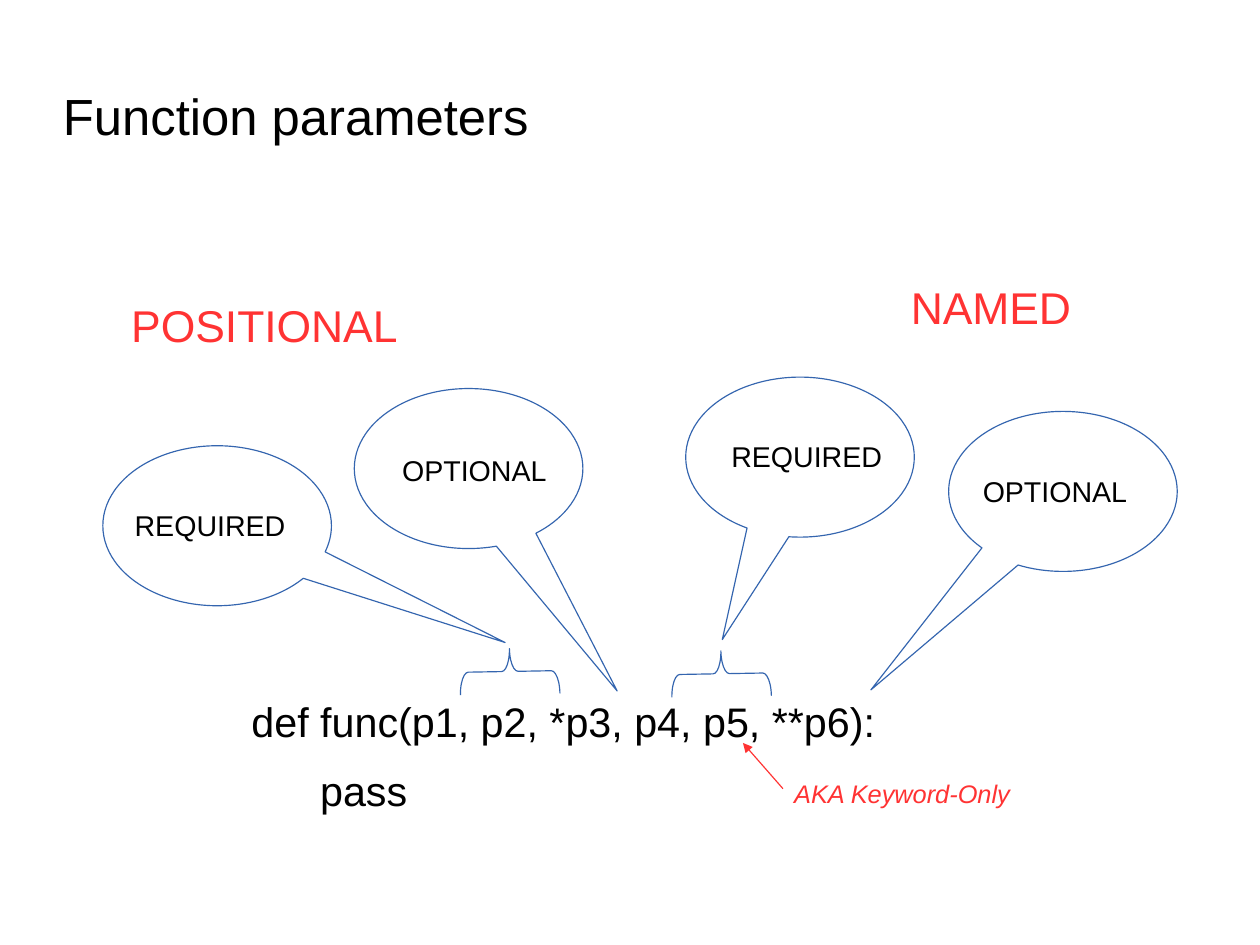
from dataclasses import dataclass

from lxml.etree import SubElement
from pptx import Presentation
from pptx.dml.color import RGBColor
from pptx.enum.shapes import MSO_CONNECTOR, MSO_SHAPE
from pptx.enum.text import MSO_ANCHOR, MSO_AUTO_SIZE, PP_ALIGN
from pptx.oxml.ns import qn
from pptx.util import Inches, Pt

COLORS = {"text": "000000", "outline": "3465AF", "accent": "FF3333"}
FONT = "Arial"
LINE_WIDTH = Pt(0.75)
LINE_SPACING = 0.93
CM_PER_INCH = 2.54


@dataclass
class Callout:
    left: float
    top: float
    tip_x: float
    tip_y: float


@dataclass
class Label:
    text: str
    left: float
    top: float
    width: float
    height: float
    size: int = 18
    color: str = "text"
    inset_top: float = 0.07
    italic: bool = False


CALLOUTS = [
    Callout(8.3, 3.6, -0.84, 1.24),
    Callout(3.1, 3.4, 0.65, 1.39),
    Callout(6, 3.3, -0.34, 1.14),
    Callout(0.9, 3.9, 1.26, 0.73),
]
BRACES = [(6.11, 5.46), (4.26, 5.44)]
LABELS = [
    Label("POSITIONAL", 1.05, 2.57, 2.9, 0.6, 28, "accent", 0.08),
    Label("NAMED", 7.87, 2.41, 1.9, 0.53, 28, "accent", 0.08),
    Label("REQUIRED", 1.08, 4.4, 1.6, 0.5),
    Label("REQUIRED", 6.3, 3.8, 1.6, 0.5),
    Label("OPTIONAL", 3.42, 3.92, 1.6, 0.5),
    Label("OPTIONAL", 8.5, 4.1, 1.6, 0.5),
    Label("AKA Keyword-Only", 6.85, 6.77, 2.1, 0.4, 16, "accent", 0.06, True),
]


def rgb(name: str) -> RGBColor:
    return RGBColor.from_string(COLORS[name])


def format_paragraph(paragraph, size: int, color: str = "text", italic: bool = False) -> None:
    paragraph.alignment = PP_ALIGN.LEFT
    paragraph.line_spacing = LINE_SPACING
    paragraph.space_before = Pt(0)
    for run in paragraph.runs:
        run.font.name = FONT
        run.font.size = Pt(size)
        run.font.italic = italic
        run.font.color.rgb = rgb(color)


def set_frame(text_frame, anchor: MSO_ANCHOR, side: float, top: float, bottom: float) -> None:
    text_frame.word_wrap = True
    text_frame.auto_size = MSO_AUTO_SIZE.NONE
    text_frame.vertical_anchor = anchor
    text_frame.margin_left = text_frame.margin_right = Inches(side)
    text_frame.margin_top = Inches(top)
    text_frame.margin_bottom = Inches(bottom)


def place(shape, left: float, top: float, width: float, height: float) -> None:
    shape.left, shape.top = Inches(left), Inches(top)
    shape.width, shape.height = Inches(width), Inches(height)


def add_outline(slide, kind: MSO_SHAPE, left: float, top: float, width: float, height: float):
    shape = slide.shapes.add_shape(kind, Inches(left), Inches(top), Inches(width), Inches(height))
    shape.shadow.inherit = False
    shape.fill.background()
    shape.line.color.rgb = rgb("outline")
    shape.line.width = LINE_WIDTH
    return shape


def add_callout(slide, callout: Callout) -> None:
    shape = add_outline(slide, MSO_SHAPE.OVAL_CALLOUT, callout.left, callout.top, 2, 1.4)
    shape.adjustments[0] = callout.tip_x
    shape.adjustments[1] = callout.tip_y


def add_brace(slide, left: float, top: float) -> None:
    shape = add_outline(slide, MSO_SHAPE.LEFT_BRACE, left, top, 0.4, 0.87)
    shape.adjustments[0] = 0.18
    shape.rotation = 89


def add_label(slide, label: Label) -> None:
    box = slide.shapes.add_textbox(
        Inches(label.left), Inches(label.top), Inches(label.width), Inches(label.height)
    )
    set_frame(box.text_frame, MSO_ANCHOR.TOP, 0.1, label.inset_top, 0.05)
    box.text_frame.text = label.text
    format_paragraph(box.text_frame.paragraphs[0], label.size, label.color, label.italic)


def add_arrow(slide, start: tuple[float, float], end: tuple[float, float]) -> None:
    arrow = slide.shapes.add_connector(
        MSO_CONNECTOR.STRAIGHT, *(Inches(value) for value in start + end)
    )
    arrow.line.color.rgb = rgb("accent")
    arrow.line.width = LINE_WIDTH
    properties = arrow._element.spPr
    SubElement(properties.find(qn("a:ln")), qn("a:tailEnd"), type="triangle")
    SubElement(properties, qn("a:effectLst"))


def main() -> None:
    # Slide of 28 by 21 centimetres
    presentation = Presentation()
    presentation.slide_width = Inches(28 / CM_PER_INCH)
    presentation.slide_height = Inches(21 / CM_PER_INCH)
    slide = presentation.slides.add_slide(presentation.slide_layouts[1])

    # Title
    title = slide.shapes.title
    place(title, 0.55, 0.63, 7.87, 0.79)
    set_frame(title.text_frame, MSO_ANCHOR.MIDDLE, 0, 0.03, 0)
    title.text_frame.text = "Function parameters"
    format_paragraph(title.text_frame.paragraphs[0], 32)

    # Function definition
    body = slide.placeholders[1]
    place(body, 2.08, 6.1, 6.72, 1.03)
    set_frame(body.text_frame, MSO_ANCHOR.TOP, 0, 0.03, 0)
    body.text_frame.text = "def func(p1, p2, *p3, p4, p5, **p6):\n      pass"
    for paragraph in body.text_frame.paragraphs:
        properties = paragraph._p.get_or_add_pPr()
        properties.set("marL", str(Inches(0.47)))
        properties.set("indent", str(Inches(-0.35)))
        SubElement(properties, qn("a:buNone"))
        format_paragraph(paragraph, 26)
        paragraph.space_after = Pt(14.3)

    # Callouts and braces over the parameters
    for callout in CALLOUTS:
        add_callout(slide, callout)
    for left, top in BRACES:
        add_brace(slide, left, top)

    # Labels and the keyword-only arrow
    for label in LABELS:
        add_label(slide, label)
    add_arrow(slide, (6.85, 6.9), (6.5, 6.5))

    presentation.save("out.pptx")


if __name__ == "__main__":
    main()
